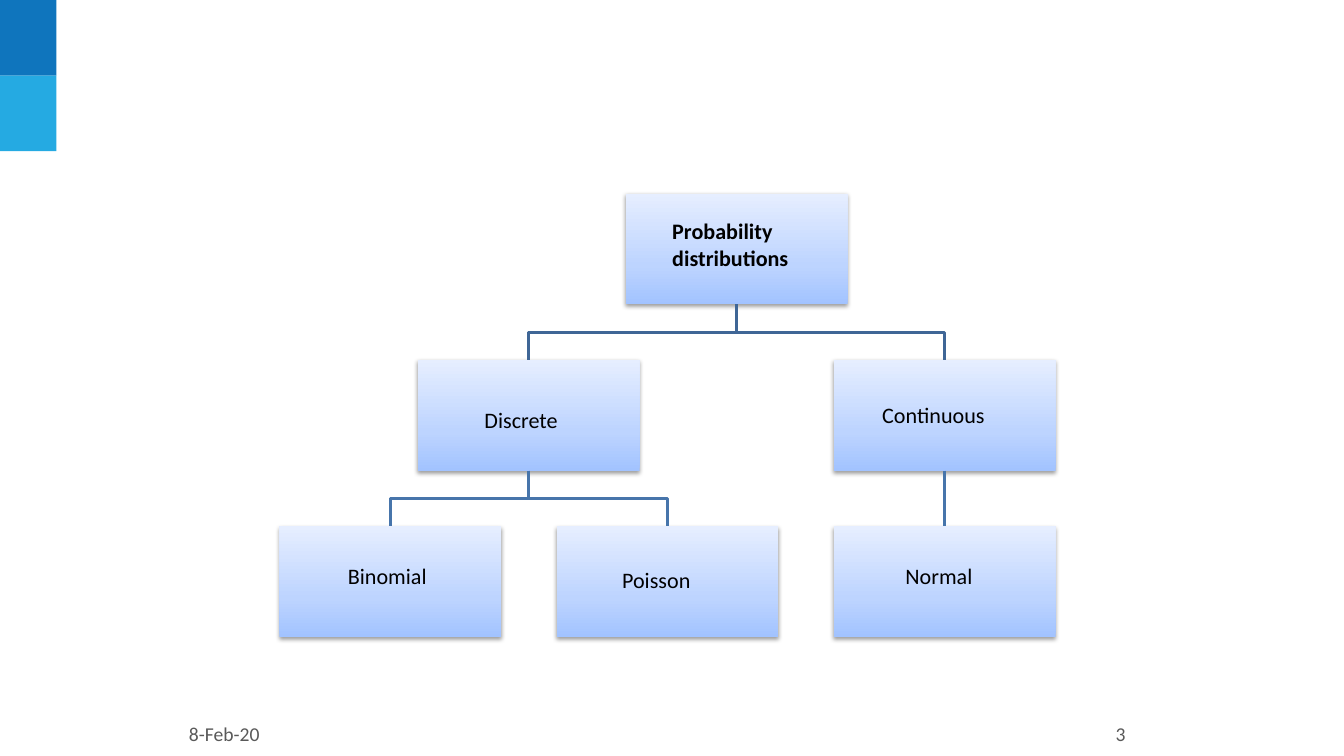
from copy import deepcopy
from dataclasses import dataclass

from lxml import etree
from pptx import Presentation
from pptx.dml.color import RGBColor
from pptx.enum.shapes import MSO_CONNECTOR, MSO_SHAPE
from pptx.enum.text import MSO_ANCHOR, PP_ALIGN
from pptx.oxml.ns import qn
from pptx.util import Pt

RECT = MSO_SHAPE.RECTANGLE
STRAIGHT = MSO_CONNECTOR.STRAIGHT
TOP, MIDDLE = MSO_ANCHOR.TOP, MSO_ANCHOR.MIDDLE
LEFT, CENTER = PP_ALIGN.LEFT, PP_ALIGN.CENTER
BLANK_LAYOUT = 6
SITE_TOP, SITE_BOTTOM = 0, 2
SCALE = 9144


@dataclass(frozen=True)
class Theme:
    font: str = "Calibri"
    label_size: float = 15.8
    footer_size: float = 14
    line_width: float = 2
    text: str = "000000"
    footer: str = "595959"
    bars: tuple = ("0F75BD", "25AAE2")
    upper_link: str = "3F6696"
    lower_link: str = "4775AB"
    box_stops: tuple = ((0, "A2C3FF"), (0.35, "BDD4FF"), (1, "E6EEFF"))


THEME = Theme()


def px(n):
    return round(n * SCALE)


def rgb(value):
    return RGBColor.from_string(value)


def add_rect(slide, x, y, w, h):
    s = slide.shapes.add_shape(RECT, px(x), px(y), px(w), px(h))
    s.shadow.inherit = False
    s.line.fill.background()
    return s


def add_text(slide, x, y, w, h, text, size, color, bold=False, align=LEFT, anchor=TOP):
    tf = slide.shapes.add_textbox(px(x), px(y), px(w), px(h)).text_frame
    tf.word_wrap = True
    tf.vertical_anchor = anchor
    tf.margin_left = tf.margin_right = tf.margin_top = tf.margin_bottom = px(5)
    tf.text = text
    p = tf.paragraphs[0]
    p.alignment = align
    font = p.runs[0].font
    font.name, font.size, font.bold = THEME.font, Pt(size), bold
    font.color.rgb = rgb(color)


def add_gradient(s):
    s.fill.gradient()
    stop_list = s._element.spPr.find(".//" + qn("a:gsLst"))
    stop_list.append(deepcopy(stop_list[0]))
    for stop, (position, color) in zip(s.fill.gradient_stops, THEME.box_stops):
        stop.position = position
        stop.color.rgb = rgb(color)
    s.fill.gradient_angle = 90


def add_shadow(s):
    effects = s._element.spPr.find(qn("a:effectLst"))
    shadow = etree.SubElement(effects, qn("a:outerShdw"), blurRad="38100",
                              dist="20320", dir="5400000", rotWithShape="0")
    color = etree.SubElement(shadow, qn("a:srgbClr"), val="000000")
    etree.SubElement(color, qn("a:alpha"), val="38000")


def add_node(slide, x, y, w, h, text, dx, dy, bold=False):
    s = add_rect(slide, x, y, w, h)
    add_gradient(s)
    add_shadow(s)
    add_text(slide, x + dx, y + dy, w, 63 if bold else 36, text,
             THEME.label_size, THEME.text, bold)
    return s


def style_link(link, color):
    link.line.color.rgb = rgb(color)
    link.line.width = Pt(THEME.line_width)


def add_elbow(slide, parent, child, color):
    x1, y1 = parent.left + parent.width // 2, parent.top + parent.height
    x2, y2 = child.left + child.width // 2, child.top
    middle = (y1 + y2) // 2
    builder = slide.shapes.build_freeform(x1, y1)
    builder.add_line_segments([(x1, middle), (x2, middle), (x2, y2)], close=False)
    s = builder.convert_to_shape()
    s.shadow.inherit = False
    s.fill.background()
    style_link(s, color)


def add_straight(slide, parent, child, color):
    link = slide.shapes.add_connector(STRAIGHT, 0, 0, 0, 0)
    link.begin_connect(parent, SITE_BOTTOM)
    link.end_connect(child, SITE_TOP)
    etree.SubElement(link._element.spPr, qn("a:effectLst"))
    style_link(link, color)


def add_tree(slide, x, y, w, h):
    box_w, box_h = 220, 110
    column_step, row_step = (w - box_w) / 2, (h - box_h) / 2

    def node(column, row, text, dx, dy, bold=False):
        return add_node(slide, x + column * column_step, y + row * row_step,
                        box_w, box_h, text, dx, dy, bold)

    root = node(1.25, 0, "Probability distributions", 41, 19, True)
    discrete = node(0.5, 1, "Discrete", 61, 41)
    continuous = node(2, 1, "Continuous", 43, 36)
    binomial = node(0, 2, "Binomial", 63, 31)
    poisson = node(1, 2, "Poisson", 60, 35)
    normal = node(2, 2, "Normal", 66, 31)

    for child in (discrete, continuous):
        add_elbow(slide, root, child, THEME.upper_link)
    for child in (binomial, poisson):
        add_elbow(slide, discrete, child, THEME.lower_link)
    add_straight(slide, continuous, normal, THEME.lower_link)


def add_corner_bars(slide, x, y, w, h):
    bar_h = h / len(THEME.bars)
    for i, color in enumerate(THEME.bars):
        s = add_rect(slide, x, y + i * bar_h, w, bar_h)
        s.fill.solid()
        s.fill.fore_color.rgb = rgb(color)


def add_footer(slide, x, y, w, h):
    field_w = 311
    for left, text in ((x, "8-Feb-20"), (x + w - field_w, "3")):
        add_text(slide, left, y, field_w, h, text, THEME.footer_size,
                 THEME.footer, align=CENTER, anchor=MIDDLE)


def main():
    prs = Presentation()
    prs.slide_width, prs.slide_height = px(1333), px(750)
    slide = prs.slides.add_slide(prs.slide_layouts[BLANK_LAYOUT])
    add_corner_bars(slide, 0, 0, 56, 150)
    add_footer(slide, 67, 708, 1200, 40)
    add_tree(slide, 277, 192, 770, 440)
    prs.save("out.pptx")


if __name__ == "__main__":
    main()
